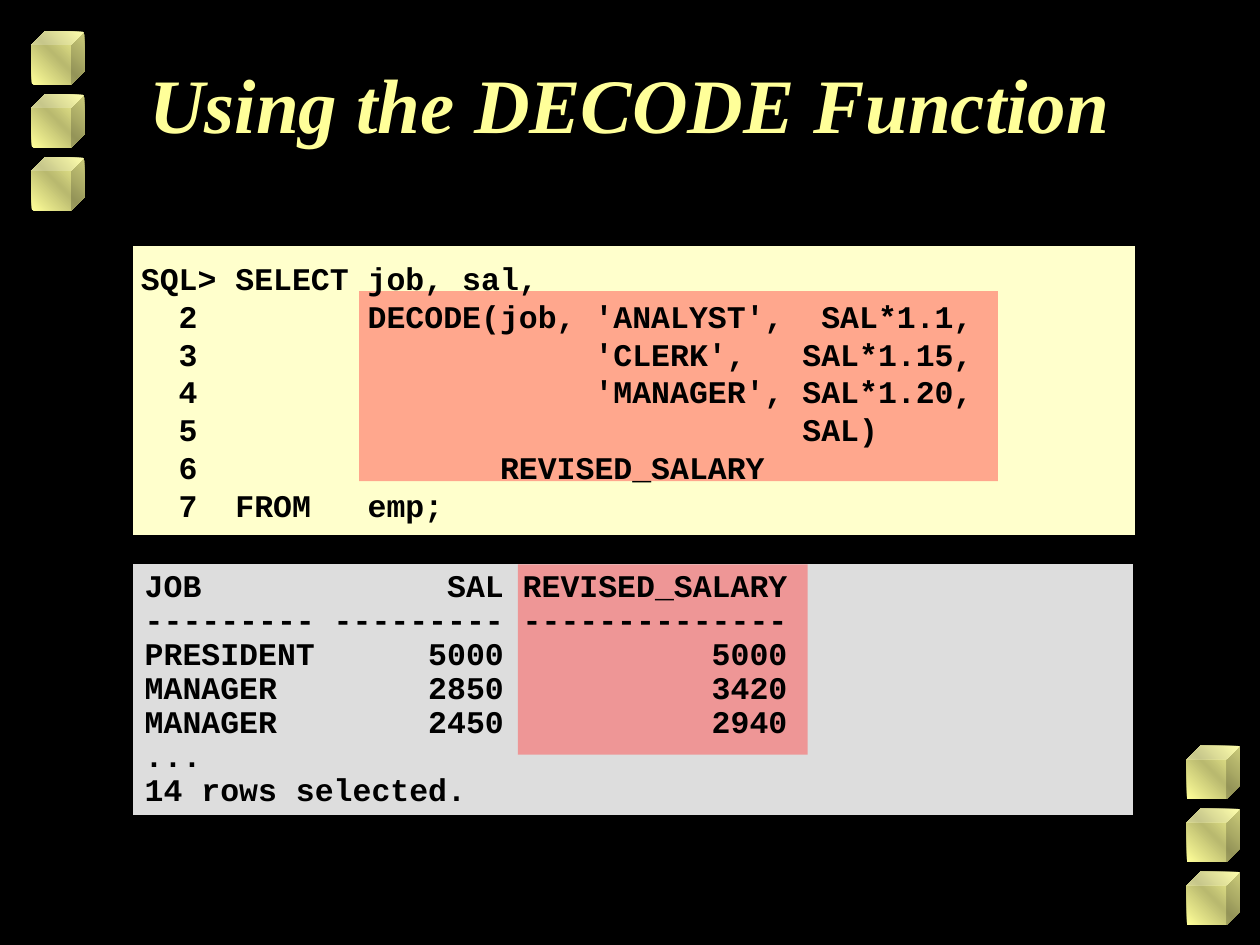
import copy

import pptx
import pptx.dml.color
import pptx.enum.shapes
import pptx.enum.text
import pptx.oxml
import pptx.oxml.ns
import pptx.util

Inches = pptx.util.Inches
Pt = pptx.util.Pt
RGBColor = pptx.dml.color.RGBColor
MSO_SHAPE = pptx.enum.shapes.MSO_SHAPE
MSO_ANCHOR = pptx.enum.text.MSO_ANCHOR
PP_ALIGN = pptx.enum.text.PP_ALIGN

BLACK = RGBColor(0x00, 0x00, 0x00)
YELLOW = RGBColor(0xFF, 0xFF, 0x99)
OLIVE = RGBColor(0xB9, 0xB9, 0x6F)
CREAM = RGBColor(0xFF, 0xFF, 0xCC)
GRAY = RGBColor(0xDD, 0xDD, 0xDD)
RED = RGBColor(0xFF, 0x50, 0x50)

TITLE = "Using the DECODE Function"
QUERY = [
    "SQL> SELECT job, sal,",
    "  2         DECODE(job, 'ANALYST',  SAL*1.1,",
    "  3                     'CLERK',   SAL*1.15,",
    "  4                     'MANAGER', SAL*1.20,",
    "  5                                SAL)",
    "  6                REVISED_SALARY",
    "  7  FROM   emp;",
]
RESULT_ROWS = [
    ("JOB", "SAL", "REVISED_SALARY"),
    ("-" * 9, "-" * 9, "-" * 14),
    ("PRESIDENT", "5000", "5000"),
    ("MANAGER", "2850", "3420"),
    ("MANAGER", "2450", "2940"),
]
RESULT = [f"{job:<9} {salary:>9} {revised:>14}" for job, salary, revised in RESULT_ROWS]
RESULT += ["...", "14 rows selected."]

CUBE_SIZE, CUBE_STEP = 0.42, 0.5
CUBE_COLUMNS = [(0.25, 0.25), (9.42, 5.92)]
PANELS = [((1.04, 1.94, 7.98, 2.32), CREAM), ((1.04, 4.46, 7.97, 2.02), GRAY)]
HIGHLIGHTS = [(2.85, 2.31, 5.07, 1.51), (4.11, 4.48, 2.3, 1.51)]


def add_plain_shape(slide, kind, box):
    shape = slide.shapes.add_shape(kind, *map(Inches, box))
    shape.shadow.inherit = False
    shape.line.fill.background()
    return shape


def add_cube(slide, left, top):
    cube = add_plain_shape(slide, MSO_SHAPE.CUBE, (left, top, CUBE_SIZE, CUBE_SIZE))
    cube.fill.gradient()
    cube.fill.gradient_angle = 45
    first_stop = cube.fill._fill._gradFill.gsLst[0]
    first_stop.addnext(copy.deepcopy(first_stop))
    stops = zip(cube.fill.gradient_stops, (0, 0.5, 1), (YELLOW, OLIVE, YELLOW))
    for stop, position, color in stops:
        stop.position = position
        stop.color.rgb = color


def add_panel(slide, box, color):
    panel = add_plain_shape(slide, MSO_SHAPE.RECTANGLE, box)
    panel.fill.solid()
    panel.fill.fore_color.rgb = color
    panel.line.color.rgb = BLACK
    panel.line.width = Pt(2)


def add_highlight(slide, box):
    """Add a half-transparent red rectangle."""
    highlight = add_plain_shape(slide, MSO_SHAPE.RECTANGLE, box)
    highlight.fill.solid()
    highlight.fill.fore_color.rgb = RED
    color = highlight.fill._xPr.find(".//" + pptx.oxml.ns.qn("a:srgbClr"))
    alpha = pptx.oxml.parse_xml(f'<a:alpha {pptx.oxml.ns.nsdecls("a")} val="50000"/>')
    color.append(alpha)


def add_text(slide, box, lines, font_name, size, color, *, top_inset, spacing=None,
             anchor=MSO_ANCHOR.TOP, alignment=PP_ALIGN.LEFT, italic=False):
    frame = slide.shapes.add_textbox(*map(Inches, box)).text_frame
    frame.word_wrap = True
    frame.vertical_anchor = anchor
    frame.margin_top = Inches(top_inset)
    for index, line in enumerate(lines):
        paragraph = frame.add_paragraph() if index else frame.paragraphs[0]
        paragraph.alignment = alignment
        if spacing:
            paragraph.line_spacing = Pt(spacing)
        run = paragraph.add_run()
        run.text = line
        run.font.name = font_name
        run.font.size = Pt(size)
        run.font.bold = True
        run.font.italic = italic
        run.font.color.rgb = color


def main():
    presentation = pptx.Presentation()
    presentation.slide_width = Inches(10)
    presentation.slide_height = Inches(7.5)
    slide = presentation.slides.add_slide(presentation.slide_layouts[6])
    slide.background.fill.solid()
    slide.background.fill.fore_color.rgb = BLACK

    for left, top in CUBE_COLUMNS:
        for row in range(3):
            add_cube(slide, left, top + row * CUBE_STEP)
    for box, color in PANELS:
        add_panel(slide, box, color)
    add_text(slide, (0.75, 0.33, 8.5, 1.25), [TITLE], "Times New Roman", 44, YELLOW,
             top_inset=0.12, alignment=PP_ALIGN.CENTER, italic=True)
    for box in HIGHLIGHTS:
        add_highlight(slide, box)
    add_text(slide, (1.02, 1.9, 8, 2.35), QUERY, "Courier New", 18, BLACK,
             top_inset=0.11, spacing=21.6, anchor=MSO_ANCHOR.MIDDLE)
    add_text(slide, (1.05, 4.44, 7.95, 2), RESULT, "Courier New", 18, BLACK,
             top_inset=0.08, spacing=19.44)
    presentation.save("out.pptx")


if __name__ == "__main__":
    main()
